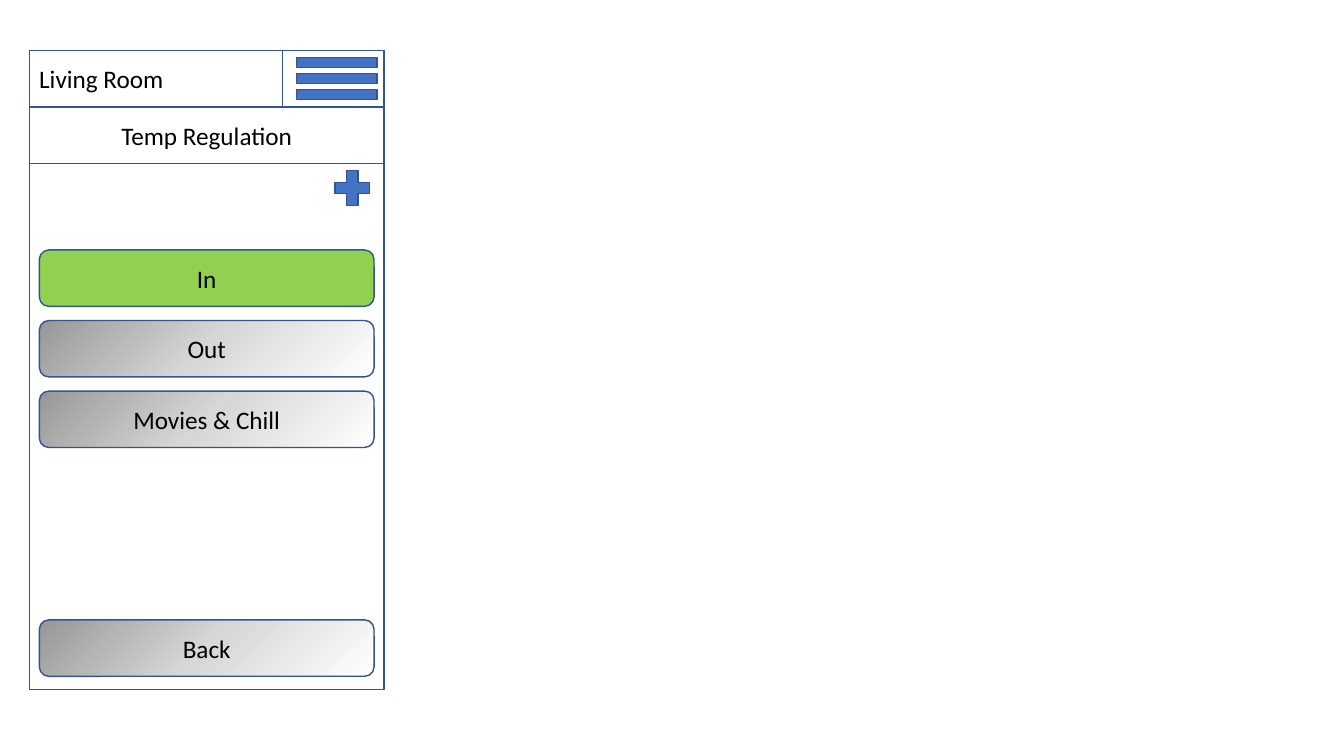
"""Build a phone screen mock-up for living room temperature regulation."""
from copy import deepcopy
from dataclasses import dataclass

from pptx import Presentation
from pptx.dml.color import RGBColor
from pptx.enum.shapes import MSO_SHAPE
from pptx.enum.text import MSO_ANCHOR, MSO_AUTO_SIZE, PP_ALIGN
from pptx.oxml.ns import qn
from pptx.util import Emu, Pt


@dataclass(frozen=True)
class Theme:
    font: str = "Calibri"
    text_size: int = 18
    line_width: int = 1
    text: str = "000000"
    line: str = "325491"
    paper: str = "FFFFFF"
    accent: str = "4472C4"
    active: str = "92D050"
    button: tuple = ((0, "979797"), (0.5, "D7D7D7"), (1, "FFFFFF"))


THEME = Theme()
PX = 9144
BAR_HEIGHT = 56
FRAME_LEFT, FRAME_TOP, FRAME_WIDTH, FRAME_HEIGHT = 29, 50, 352, 634

presentation = Presentation()
presentation.slide_width = Emu(1333 * PX)
presentation.slide_height = Emu(750 * PX)
slide = presentation.slides.add_slide(presentation.slide_layouts[5])


def place(shape, box, fill=None):
    """Position a shape and give it the theme outline and a fill."""
    shape.left, shape.top, shape.width, shape.height = (Emu(px * PX) for px in box)
    shape.line.color.rgb = RGBColor.from_string(THEME.line)
    shape.line.width = Pt(THEME.line_width)
    if fill is None:
        shape.fill.background()
    elif isinstance(fill, str):
        shape.fill.solid()
        shape.fill.fore_color.rgb = RGBColor.from_string(fill)
    else:
        shape.fill.gradient()
        shape.fill.gradient_angle = 315
        stop_list = next(shape._element.iter(qn("a:gsLst")))
        stop_list.insert(1, deepcopy(stop_list[0]))
        for stop, (position, color) in zip(shape.fill.gradient_stops, fill):
            stop.position = position
            stop.color.rgb = RGBColor.from_string(color)
    return shape


def write(shape, text, align=PP_ALIGN.CENTER, size=THEME.text_size, color=THEME.text):
    """Write one formatted line of text, centred vertically, in a shape."""
    frame = shape.text_frame
    frame.auto_size = MSO_AUTO_SIZE.NONE
    frame.vertical_anchor = MSO_ANCHOR.MIDDLE
    paragraph = frame.paragraphs[0]
    paragraph.alignment = align
    run = paragraph.add_run()
    run.text = text
    run.font.name = THEME.font
    run.font.size = Pt(size)
    run.font.color.rgb = RGBColor.from_string(color)


title_box = (FRAME_LEFT, FRAME_TOP + BAR_HEIGHT, FRAME_WIDTH, BAR_HEIGHT)
write(place(slide.shapes.title, title_box, THEME.paper), "Temp Regulation")

room_box = (FRAME_LEFT, FRAME_TOP, FRAME_WIDTH, BAR_HEIGHT)
parts = [
    (MSO_SHAPE.RECTANGLE, (FRAME_LEFT, FRAME_TOP, FRAME_WIDTH, FRAME_HEIGHT), None, None),
    (MSO_SHAPE.RECTANGLE, room_box, THEME.paper, "Living Room"),
    (MSO_SHAPE.RECTANGLE, (280, FRAME_TOP, 101, BAR_HEIGHT), THEME.paper, None),
]
for row in range(3):
    parts.append((MSO_SHAPE.RECTANGLE, (294, 57 + 16 * row, 80, 10), THEME.accent, None))

buttons = [
    ("In", 248, THEME.active),
    ("Out", 318, THEME.button),
    ("Movies & Chill", 388, THEME.button),
    ("Back", 615, THEME.button),
]
for label, top, fill in buttons:
    parts.append((MSO_SHAPE.ROUNDED_RECTANGLE, (39, top, 332, BAR_HEIGHT), fill, label))
parts.append((MSO_SHAPE.MATH_PLUS, (326, 163, 47, 47), THEME.accent, None))

for kind, box, fill, label in parts:
    shape = place(slide.shapes.add_shape(kind, 0, 0, 0, 0), box, fill)
    shape.shadow.inherit = False
    if label:
        align = PP_ALIGN.LEFT if box == room_box else PP_ALIGN.CENTER
        write(shape, label, align=align)

presentation.save("out.pptx")
